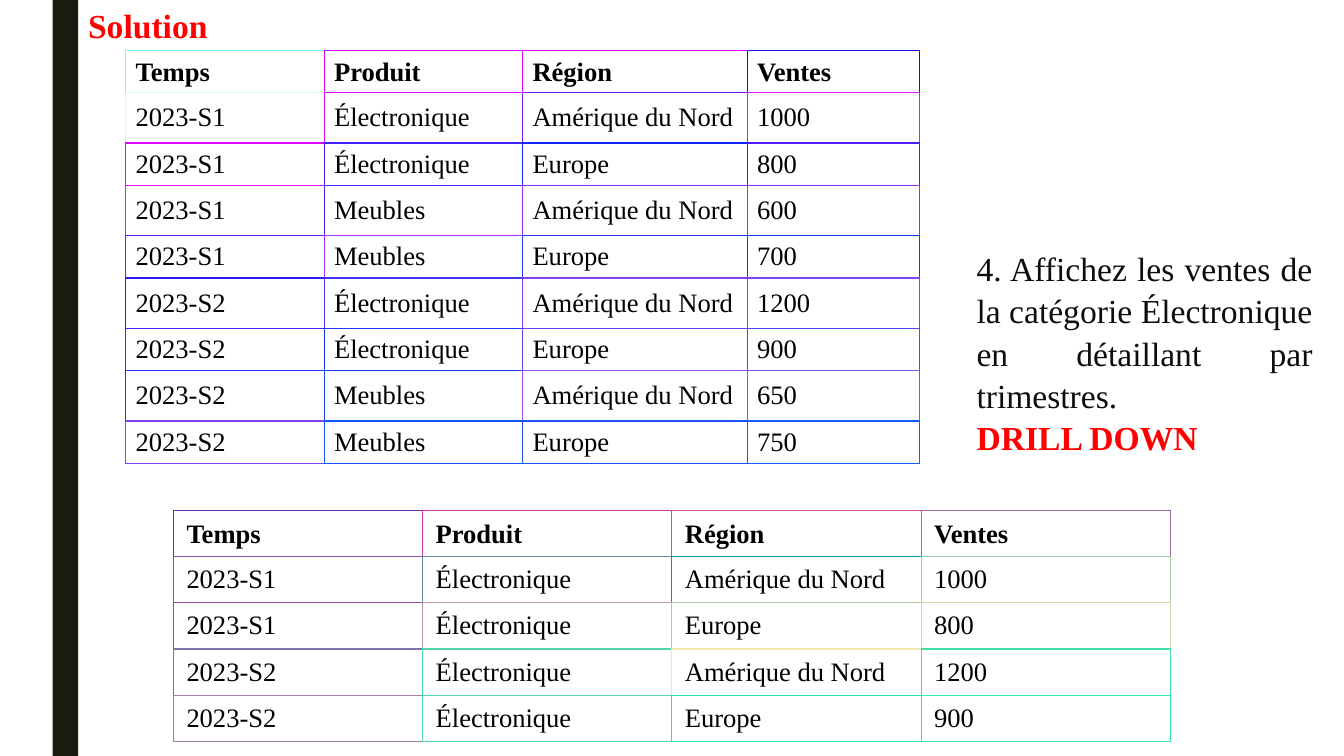
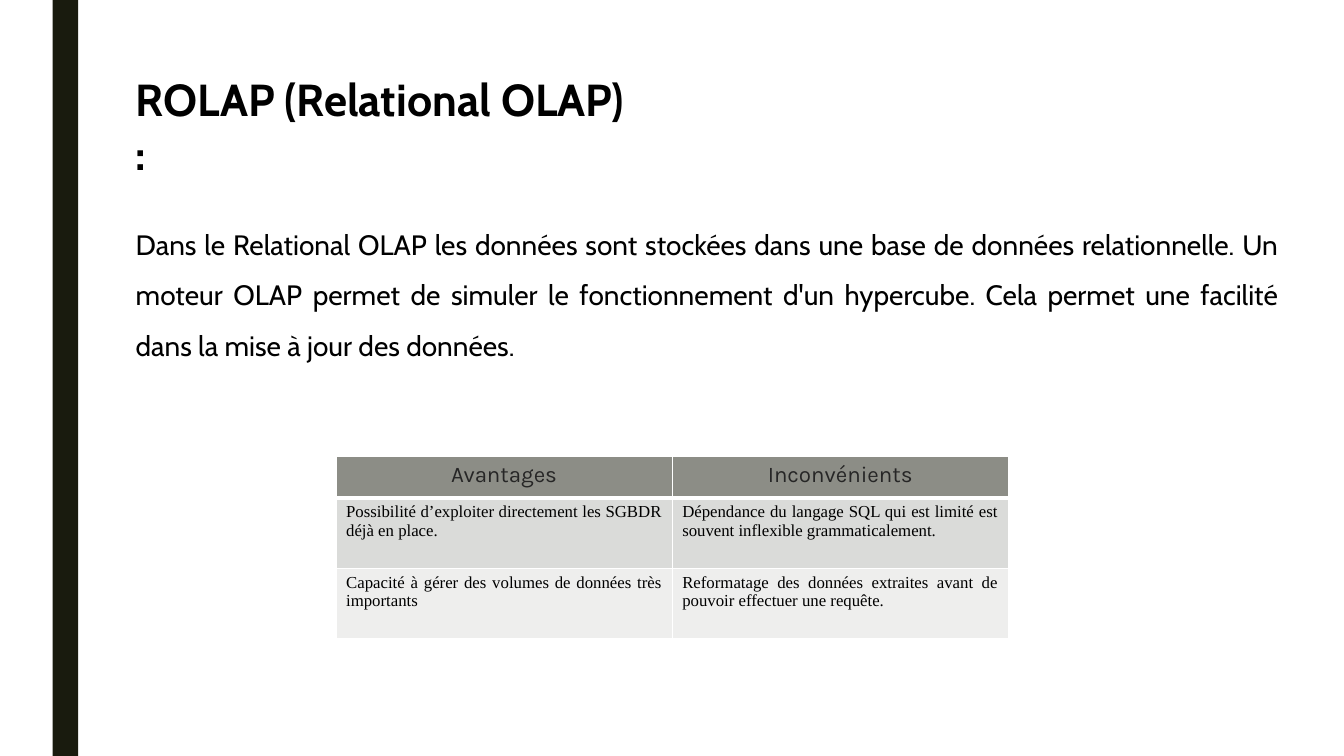
from lxml import etree
from pptx import Presentation
from pptx.dml.color import RGBColor
from pptx.enum.shapes import MSO_SHAPE
from pptx.enum.text import MSO_ANCHOR, PP_ALIGN
from pptx.oxml.ns import qn
from pptx.util import Cm, Pt

RECTANGLE = MSO_SHAPE.RECTANGLE
TOP, MIDDLE, BOTTOM = MSO_ANCHOR.TOP, MSO_ANCHOR.MIDDLE, MSO_ANCHOR.BOTTOM
LEFT, CENTER, JUSTIFY = PP_ALIGN.LEFT, PP_ALIGN.CENTER, PP_ALIGN.JUSTIFY

SLIDE_WIDTH, SLIDE_HEIGHT = 33.87, 19.05
SERIF, SANS, HEADING = "Times New Roman", "Cabin", "Karla"
COLORS = {
    "band": "191B0E",
    "black": "000000",
    "white": "FFFFFF",
    "accent": "FF0000",
    "question": "0D0D0D",
    "header_text": "262626",
    "header_fill": "8C8D86",
    "odd_row": "DADBD9",
    "even_row": "EEEEED",
    # One colour per cell: its left and top edges
    "sales_edges": [
        "70FAF9 E005FA E005FA 100FFA",
        "D0FAF9 E008FA 7015FA E011FA",
        "E008FA 4021FA 1024FA 501DFA",
        "E011FA 4021FA 902EFA 9031FA",
        "7015FA B02FFA 2038FA 1039FA",
        "3016FA 4033FA 803EFA 8041FA",
        "4027FA 2038FA 6043FA 5047FA",
        "2032FA 2041FA A04EFA 8056FA",
        "803EFA 1054FA 2050FA 1060FA",
    ],
    "result_edges": [
        "702AAA C037AA D04BAA A069AA",
        "9049AA 6088AA 0097AA A0C9AA",
        "9049AA C09AAA B0CBAA D0DBAA",
        "8071AA 50D7AA F0E8AA 40DEAA",
        "A07EAA 50DDAA 20E6AA 30EBAA",
    ],
}

SALES_HEADER = ("Temps", "Produit", "Région", "Ventes")
SALES = [
    ("2023-S1", "Électronique", "Amérique du Nord", "1000"),
    ("2023-S1", "Électronique", "Europe", "800"),
    ("2023-S1", "Meubles", "Amérique du Nord", "600"),
    ("2023-S1", "Meubles", "Europe", "700"),
    ("2023-S2", "Électronique", "Amérique du Nord", "1200"),
    ("2023-S2", "Électronique", "Europe", "900"),
    ("2023-S2", "Meubles", "Amérique du Nord", "650"),
    ("2023-S2", "Meubles", "Europe", "750"),
]
COMPARISON = [
    ("Avantages", "Inconvénients"),
    ("Possibilité d’exploiter directement les SGBDR déjà en place.",
     "Dépendance du langage SQL qui est limité est souvent inflexible "
     "grammaticalement."),
    ("Capacité à gérer des volumes de données très importants",
     "Reformatage des données extraites avant de pouvoir effectuer une requête."),
]


def style(para, font, size, color="black", bold=False, align=LEFT):
    para.alignment = align
    for span in para.runs:
        span.font.name = font
        span.font.size = Pt(size)
        span.font.bold = bold
        span.font.color.rgb = RGBColor.from_string(COLORS[color])


def add_page(deck):
    """Add a blank slide with the dark vertical band."""
    page = deck.slides.add_slide(deck.slide_layouts[6])
    band = page.shapes.add_shape(RECTANGLE, Cm(1.33), 0, Cm(0.64), Cm(SLIDE_HEIGHT))
    band.shadow.inherit = False
    band.fill.solid()
    band.fill.fore_color.rgb = RGBColor.from_string(COLORS["band"])
    band.line.fill.background()
    return page


def add_text(page, box, texts):
    frame = page.shapes.add_textbox(*map(Cm, box)).text_frame
    frame.word_wrap = True
    frame.text = "\n".join(texts)
    return frame.paragraphs


def add_grid(page, left, top, widths, heights):
    """Add a table without banding, sized by its columns and rows."""
    table = page.shapes.add_table(
        len(heights), len(widths), Cm(left), Cm(top),
        Cm(sum(widths)), Cm(sum(heights))).table
    table.first_row = table.horz_banding = False
    for column, width in zip(table.columns, widths):
        column.width = Cm(width)
    for row, height in zip(table.rows, heights):
        row.height = Cm(height)
    return table


def set_borders(cell, edges):
    """Draw (colour, points) edges, given in the order left, right, top, bottom."""
    properties = cell._tc.get_or_add_tcPr()
    for side, (color, points) in zip("LRTB", edges):
        line = etree.SubElement(properties, qn(f"a:ln{side}"), w=str(Pt(points)))
        fill = etree.SubElement(line, qn("a:solidFill"))
        etree.SubElement(fill, qn("a:srgbClr"), val=color)


def fill_cell(cell, color):
    cell.fill.solid()
    cell.fill.fore_color.rgb = RGBColor.from_string(COLORS[color])


def add_sales_table(page, left, top, widths, heights, records, edges, margins,
                    fill=None):
    table = add_grid(page, left, top, widths, heights)
    colors = [line.split() for line in edges]
    last_row, last_column = len(heights) - 1, len(widths) - 1
    side_margin, end_margin = map(Cm, margins)
    for r, values in enumerate([SALES_HEADER, *records]):
        for c, value in enumerate(values):
            cell = table.cell(r, c)
            own = colors[r][c]
            set_borders(cell, [
                (own, 0.75),
                (colors[r][min(c + 1, last_column)], 0.75),
                (own, 1 if r else 0.75),
                (colors[min(r + 1, last_row)][c], 1 if r < last_row else 0.75),
            ])
            if fill:
                fill_cell(cell, fill)
            else:
                cell.fill.background()
            cell.margin_left = cell.margin_right = side_margin
            cell.margin_top = cell.margin_bottom = end_margin
            cell.vertical_anchor = MIDDLE if r else BOTTOM
            cell.text_frame.text = value
            style(cell.text_frame.paragraphs[0], SERIF, 19, bold=r == 0)


def add_comparison_table(page, left, top, widths, heights):
    table = add_grid(page, left, top, widths, heights)
    fills = ("header_fill", "odd_row", "even_row")
    thin, thick = (COLORS["white"], 1), (COLORS["white"], 3)
    for r, values in enumerate(COMPARISON):
        for c, value in enumerate(values):
            cell = table.cell(r, c)
            set_borders(cell, [thin, thin, thin, thin if r else thick])
            fill_cell(cell, fills[r])
            cell.vertical_anchor = TOP
            cell.text_frame.text = value
            para = cell.text_frame.paragraphs[0]
            if r:
                style(para, SERIF, 12, align=JUSTIFY)
            else:
                style(para, HEADING, 16, "header_text", align=CENTER)


def build_solution(deck):
    page = add_page(deck)
    title, = add_text(page, (1.97, 0, 3.76, 1.27), ["Solution"])
    style(title, SERIF, 24, "accent", bold=True)

    add_sales_table(page, 3.17, 1.27, [5, 5, 5.66, 4.34], [1.06, *[1.27, 1.06] * 4],
                    SALES, COLORS["sales_edges"], (0.25, 0.13))

    question, operation = add_text(page, (24.36, 6.07, 8.97, 6.17), [
        "4. Affichez les ventes de la catégorie Électronique en détaillant "
        "par trimestres.",
        "DRILL DOWN",
    ])
    style(question, SERIF, 24, "question", align=JUSTIFY)
    style(operation, SERIF, 24, "accent", bold=True, align=JUSTIFY)
    question.line_spacing = operation.line_spacing = 1.05

    electronics = [record for record in SALES if record[1] == "Électronique"]
    add_sales_table(page, 4.37, 12.86, [6.28] * 4, [1.14] * 5,
                    electronics, COLORS["result_edges"], (0.33, 0.18), "white")


def build_rolap(deck):
    page = add_page(deck)
    title, = add_text(page, (3.17, 1.68, 12.9, 2.97), ["ROLAP (Relational OLAP) :"])
    style(title, SANS, 32, bold=True)

    body, = add_text(page, (3.17, 5.18, 29.31, 3.94), [
        "Dans le Relational OLAP les données sont stockées dans une base de données "
        "relationnelle. Un moteur OLAP permet de simuler le fonctionnement d'un "
        "hypercube. Cela permet une facilité dans la mise à jour des données.",
    ])
    style(body, SANS, 20, align=JUSTIFY)
    body.line_spacing = 1.5

    add_comparison_table(page, 8.47, 11.51, [8.47] * 2, [1.03, 1.78, 1.78])


def main():
    deck = Presentation()
    deck.slide_width, deck.slide_height = Cm(SLIDE_WIDTH), Cm(SLIDE_HEIGHT)
    build_solution(deck)
    build_rolap(deck)
    deck.save("out.pptx")


if __name__ == "__main__":
    main()
